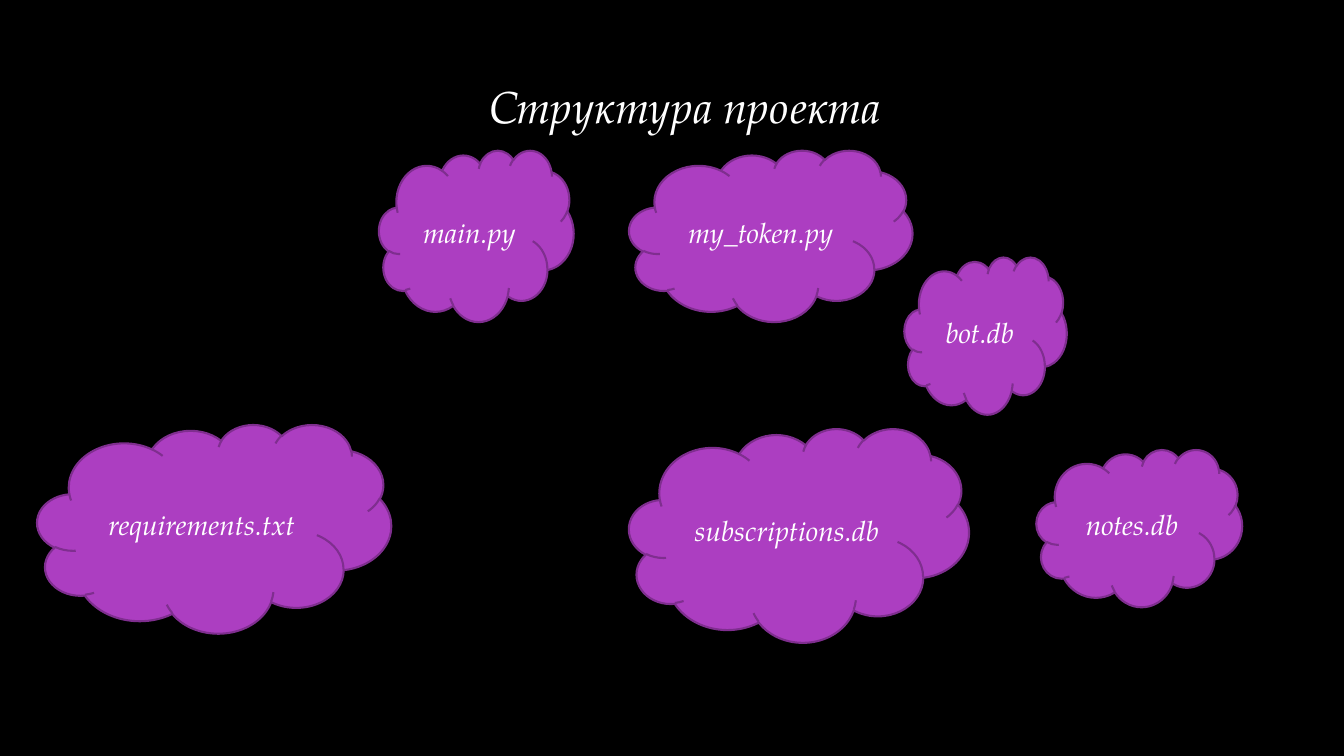
from dataclasses import dataclass

from pptx import Presentation
from pptx.dml.color import RGBColor
from pptx.enum.shapes import MSO_SHAPE as Preset
from pptx.enum.text import MSO_ANCHOR as Anchor, MSO_AUTO_SIZE as AutoSize, PP_ALIGN as Align
from pptx.slide import Slide
from pptx.text.text import TextFrame
from pptx.util import Inches, Pt

FONT = "TeX Gyre Pagella"
COLORS = {
    "background": "000000",
    "cloud": "AC3EC1",
    "outline": "7F2E8F",
    "text": "FFFFFF",
}


@dataclass(frozen=True)
class FileCloud:
    name: str
    left: float
    top: float
    width: float
    height: float


FILE_CLOUDS = [
    FileCloud("requirements.txt", 0.37, 4.21, 3.51, 2.07),
    FileCloud("main.py", 3.76, 1.49, 1.93, 1.7),
    FileCloud("my_token.py", 6.24, 1.49, 2.81, 1.7),
    FileCloud("bot.db", 8.97, 2.55, 1.61, 1.56),
    FileCloud("notes.db", 10.28, 4.46, 2.04, 1.56),
    FileCloud("subscriptions.db", 6.24, 4.25, 3.37, 2.12),
]


def color(name: str) -> RGBColor:
    return RGBColor.from_string(COLORS[name])


def write(frame: TextFrame, text: str, size: int, align: Align) -> None:
    para = frame.paragraphs[0]
    para.alignment = align
    span = para.add_run()
    span.text = text
    span.font.name = FONT
    span.font.size = Pt(size)
    span.font.italic = True
    span.font.color.rgb = color("text")


def draw_title(page: Slide, text: str) -> None:
    box = page.shapes.add_textbox(Inches(4.75), Inches(0.73), Inches(4.46), Inches(0.64))
    box.text_frame.word_wrap = False
    box.text_frame.auto_size = AutoSize.SHAPE_TO_FIT_TEXT
    write(box.text_frame, text, 32, Align.LEFT)


def draw_cloud(page: Slide, cloud: FileCloud) -> None:
    shape = page.shapes.add_shape(
        Preset.CLOUD,
        Inches(cloud.left),
        Inches(cloud.top),
        Inches(cloud.width),
        Inches(cloud.height),
    )
    shape.shadow.inherit = False
    shape.fill.solid()
    shape.fill.fore_color.rgb = color("cloud")
    shape.line.color.rgb = color("outline")
    shape.line.width = Pt(1.5)
    shape.text_frame.word_wrap = True
    shape.text_frame.vertical_anchor = Anchor.MIDDLE
    write(shape.text_frame, cloud.name, 20, Align.CENTER)


def main() -> None:
    deck = Presentation()
    deck.slide_width = Inches(13.33)
    deck.slide_height = Inches(7.5)
    page = deck.slides.add_slide(deck.slide_layouts[6])
    page.background.fill.solid()
    page.background.fill.fore_color.rgb = color("background")
    draw_title(page, "Структура проекта")
    for cloud in FILE_CLOUDS:
        draw_cloud(page, cloud)
    deck.save("out.pptx")


if __name__ == "__main__":
    main()
